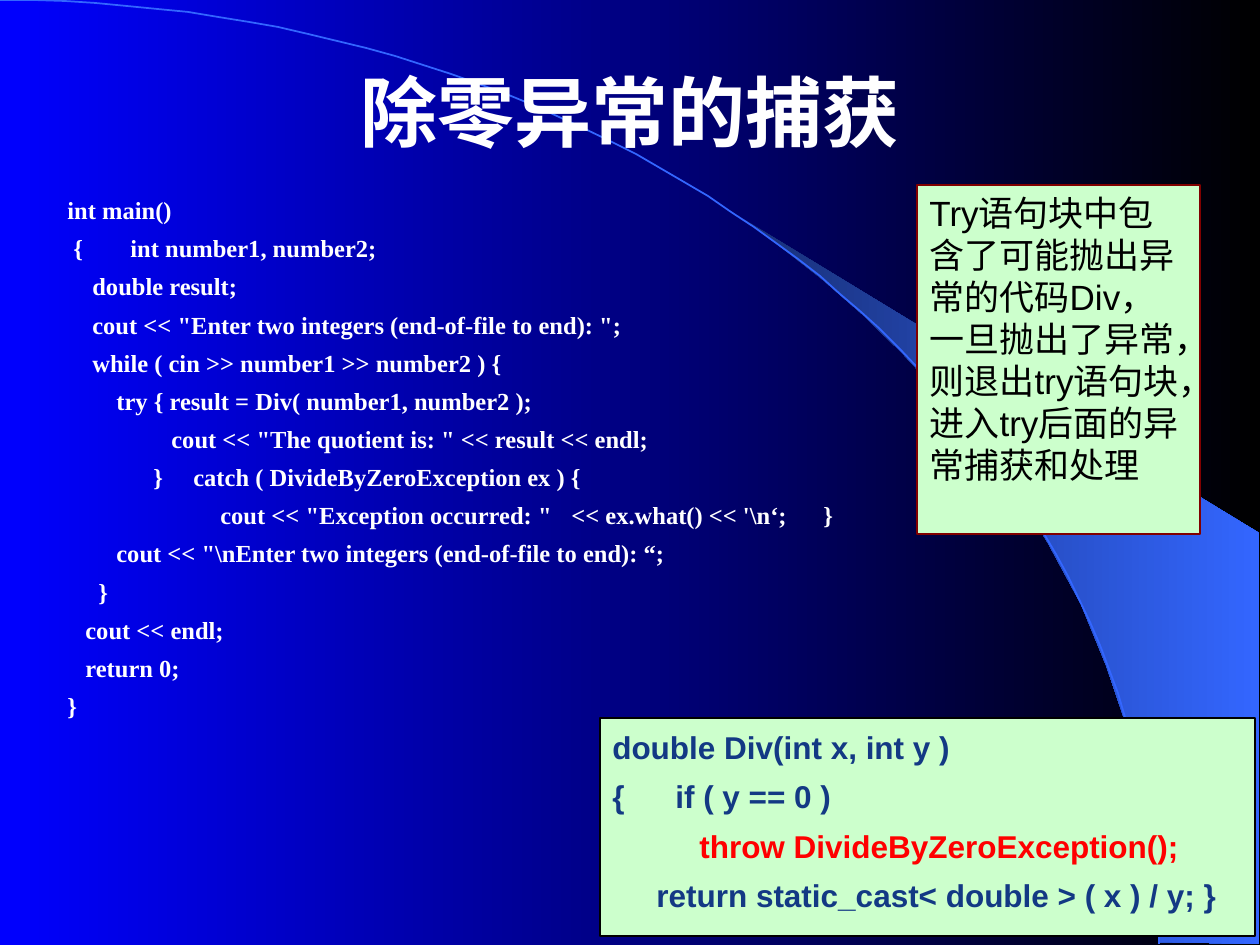
from lxml import etree
from pptx import Presentation
from pptx.dml.color import RGBColor
from pptx.enum import shapes, text
from pptx.oxml.ns import qn
from pptx.util import Emu, Pt

PX = 914400 / 126  # EMU in one px

THEME = {
    "blue": "0000FF", "black": "000000", "white": "FFFFFF", "red": "FF0000",
    "arc": "3366FF", "arc_dark": "182F76", "panel": "CCFFCC",
    "panel_edge": "800000", "navy": "133984",
    "sans": "Arial", "serif": "Times New Roman",
    "title": 44, "note": 20, "snippet": 18, "code": 14,
}

# Each code line: indent, text, tab stops, all lengths in px from the text edge
MAIN_CODE = [
    (0, "int main()", []),
    (6, "{\tint number1, number2;", [28]),
    (25, "double result;", []),
    (25, 'cout << "Enter two integers (end-of-file to end): ";', []),
    (25, "while ( cin >> number1 >> number2 ) {", []),
    (49, "try { result = Div( number1, number2 );", []),
    (104, 'cout << "The quotient is: " << result << endl;', []),
    (86, "}\tcatch ( DivideByZeroException ex ) {", [114]),
    (153, 'cout << "Exception occurred: "\t<< ex.what() << \'\\n‘;\t}', [502, 736]),
    (49, 'cout << "\\nEnter two integers (end-of-file to end): “;', []),
    (31, "}", []),
    (18, "cout << endl;", []),
    (18, "return 0;", []),
    (0, "}", []),
]
DIV_CODE = [
    (0, "double Div(int x, int y )", []),
    (0, "{\tif ( y == 0 )", [47]),
    (87, "throw DivideByZeroException();", []),
    (44, "return static_cast< double > ( x ) / y; }", []),
]
NOTE = ("Try语句块中包含了可能抛出异常的代码Div，一旦抛出了异常，"
        "则退出try语句块，进入try后面的异常捕获和处理")


def emu(px):
    return Emu(round(px * PX))


def color(name):
    return RGBColor.from_string(THEME[name])


def set_all(target, values):
    for name, value in values.items():
        setattr(target, name, value)


def set_gradient(fill, start, end):
    fill.gradient()
    fill.gradient_angle = 0
    for stop, name in zip(fill.gradient_stops, (start, end)):
        stop.color.rgb = color(name)


def add_paragraph(frame, index, content, font, size, ink, bold=False, **layout):
    paragraph = frame.paragraphs[0] if index == 0 else frame.add_paragraph()
    set_all(paragraph, {"alignment": text.PP_ALIGN.LEFT, **layout})
    paragraph.text = content
    set_all(paragraph.runs[0].font,
            {"name": THEME[font], "size": Pt(THEME[size]), "bold": bold})
    paragraph.runs[0].font.color.rgb = color(ink)
    return paragraph


def add_text_box(slide, box):
    shape = slide.shapes.add_textbox(*map(emu, box))
    shape.text_frame.word_wrap = True
    return shape.text_frame


def add_panel(slide, box, edge):
    shape = slide.shapes.add_shape(shapes.MSO_SHAPE.RECTANGLE, *map(emu, box))
    shape.shadow.inherit = False
    shape.fill.solid()
    shape.fill.fore_color.rgb = color("panel")
    shape.line.color.rgb = color(edge)
    shape.line.width = Pt(0.75)
    set_all(shape.text_frame,
            {"word_wrap": True, "vertical_anchor": text.MSO_ANCHOR.TOP})
    return shape.text_frame


def add_code(frame, lines, special_inks, **style):
    for index, (indent, content, stops) in enumerate(lines):
        line_style = {**style, "ink": special_inks.get(index, style["ink"])}
        paragraph = add_paragraph(frame, index, content, **line_style)
        properties = paragraph._p.get_or_add_pPr()
        properties.set("marL", "0")
        properties.set("indent", str(emu(indent)))
        if stops:
            tab_list = etree.SubElement(properties, qn("a:tabLst"))
            for stop in stops:
                etree.SubElement(tab_list, qn("a:tab"), pos=str(emu(stop)), algn="l")


def add_freeform(slide, box, points, close):
    left, top = box[:2]
    builder = slide.shapes.build_freeform(*points[0], scale=PX)
    builder.add_line_segments(points[1:], close=close)
    shape = builder.convert_to_shape(emu(left), emu(top))
    shape.shadow.inherit = False
    return shape


def add_backdrop(slide, box):
    width, height = box[2:]
    set_gradient(slide.background.fill, "blue", "black")

    # Swoosh to the right of the arc
    right = width - 1
    swoosh = add_freeform(slide, box, [
        (1159, 942), (right, height - 1), (right, 533), (742, 218), (786, 251),
        (823, 280), (863, 315), (902, 353), (960, 416), (1012, 484), (1048, 543),
        (1081, 604), (1106, 665), (1125, 721), (1138, 767), (1150, 827),
        (1155, 877)], close=True)
    set_gradient(swoosh.fill, "arc_dark", "arc")
    swoosh.line.fill.background()

    # Quarter arc, sampled from one cubic curve
    steps, end_x, end_y = 60, 1159, 944
    curve = []
    for step in range(steps + 1):
        t = step / steps
        s = 1 - t
        curve.append((round(3 * s * s * t * 640 + (3 * s * t * t + t ** 3) * end_x, 2),
                      round(3 * s * t * t * 422 + t ** 3 * end_y, 2)))
    arc = add_freeform(slide, box, curve, close=False)
    arc.fill.background()
    arc.line.color.rgb = color("arc")
    arc.line.width = Pt(1)


def add_title(slide, box):
    frame = add_text_box(slide, box)
    frame.vertical_anchor = text.MSO_ANCHOR.MIDDLE
    add_paragraph(frame, 0, "除零异常的捕获", "sans", "title", "white", True,
                  alignment=text.PP_ALIGN.CENTER)


def add_main_code(slide, box):
    add_code(add_text_box(slide, box), MAIN_CODE, {}, font="serif", size="code",
             ink="white", bold=True, space_before=Pt(5))


def add_note(slide, box):
    frame = add_panel(slide, box, "panel_edge")
    frame.auto_size = text.MSO_AUTO_SIZE.SHAPE_TO_FIT_TEXT
    add_paragraph(frame, 0, NOTE, "sans", "note", "black", space_before=Pt(12.5))


def add_div_code(slide, box):
    add_code(add_panel(slide, box, "black"), DIV_CODE, {2: "red"}, font="sans",
             size="snippet", ink="navy", bold=True, space_before=Pt(4.5),
             line_spacing=1.1)


def main():
    presentation = Presentation()
    set_all(presentation, {"slide_width": emu(1260), "slide_height": emu(945)})
    slide = presentation.slides.add_slide(presentation.slide_layouts[6])
    add_backdrop(slide, (0, 0, 1260, 945))
    add_title(slide, (95, 32, 1071, 158))
    add_main_code(slide, (55, 189, 1157, 567))
    add_note(slide, (917, 185, 283, 349))
    add_div_code(slide, (600, 718, 655, 218))
    presentation.save("out.pptx")


if __name__ == "__main__":
    main()
